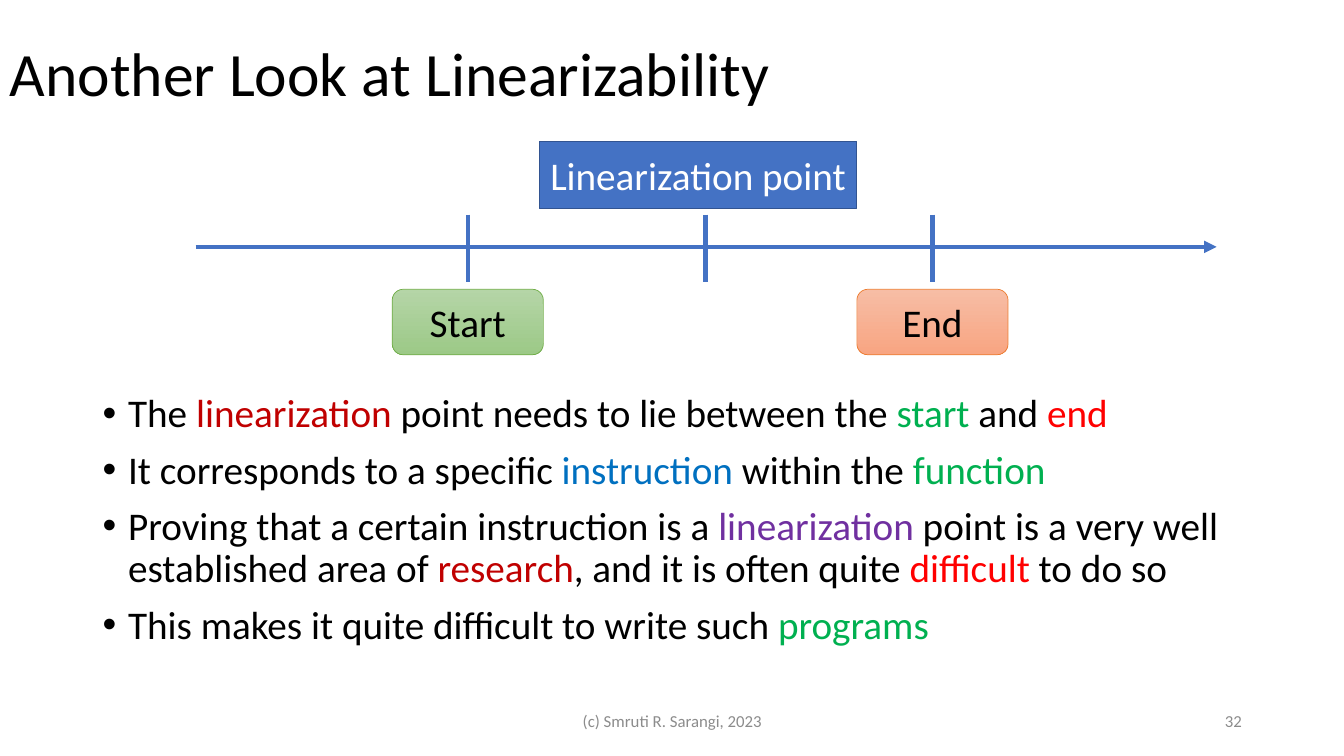
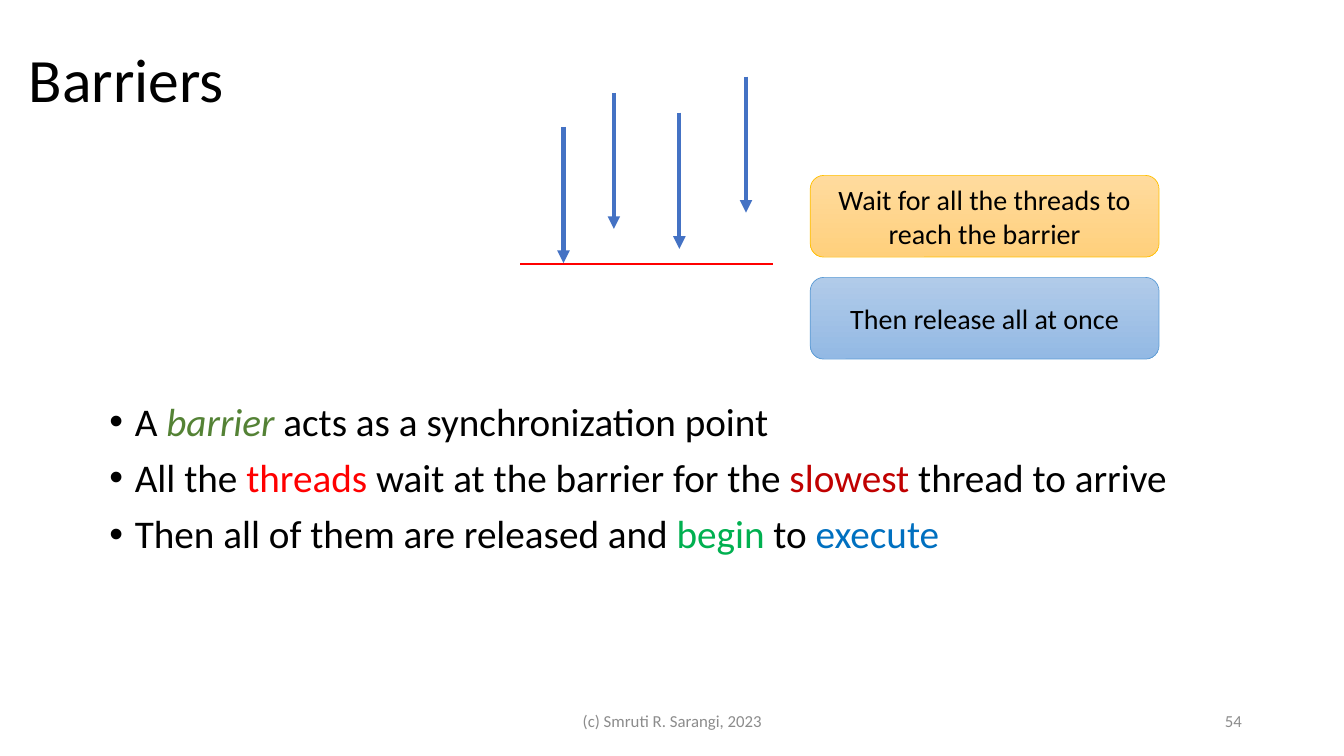
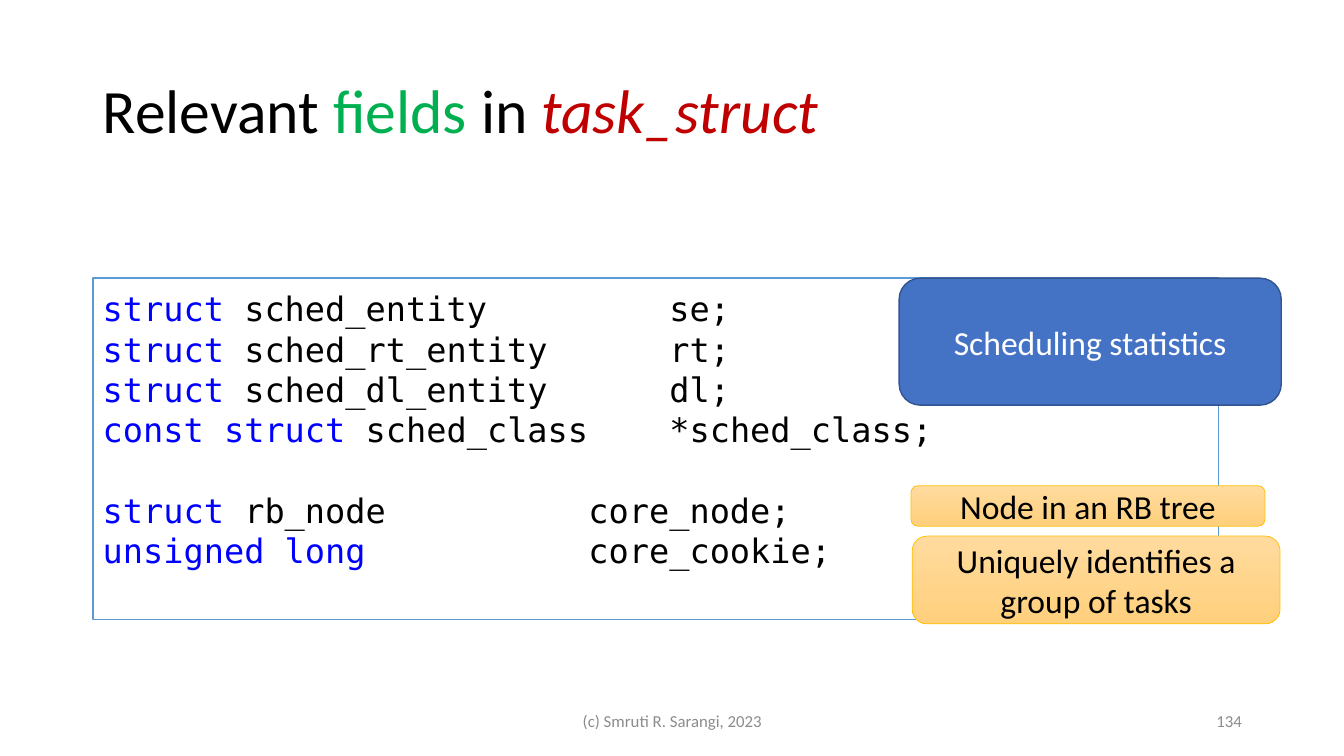
from dataclasses import dataclass
from typing import NamedTuple

from lxml import etree
from pptx import Presentation
from pptx import util as u
from pptx.dml.color import RGBColor
from pptx.enum import shapes, text
from pptx.oxml import ns

Cm, Pt = u.Cm, u.Pt
LEFT, MID, RIGHT = text.PP_ALIGN.LEFT, text.PP_ALIGN.CENTER, text.PP_ALIGN.RIGHT
TOP, CENTER = text.MSO_ANCHOR.TOP, text.MSO_ANCHOR.MIDDLE
RECT, ROUND = shapes.MSO_SHAPE.RECTANGLE, shapes.MSO_SHAPE.ROUNDED_RECTANGLE


class Look(NamedTuple):
    """Fill from first to last colour, edge colour and width, ink."""
    first: str
    last: str
    edge: str
    width: float = 0.5
    ink: str = "000000"


@dataclass(frozen=True)
class Theme:
    black: str = "000000"
    grey: str = "8C8C8C"
    crimson: str = "C00000"
    red: str = "FF0000"
    green: str = "00B050"
    olive: str = "548235"
    blue: str = "0070C0"
    purple: str = "7030A0"
    key: str = "0000FF"
    line: str = "4472C4"
    font: str = "Calibri"
    mono: str = "DejaVu Sans Mono"
    title: float = 44
    body: float = 28
    code: float = 24
    note: float = 20
    foot: float = 12
    solid: Look = Look("4472C4", "4472C4", "325491", 1, "FFFFFF")
    leaf: Look = Look("B5D5A7", "9CC987", "70AD47")
    coral: Look = Look("F7BDA5", "F8A582", "ED7D31")
    gold: Look = Look("FFDB9E", "FFD07C", "FFC000")
    sky: Look = Look("B1CBE9", "93B9E4", "5B9BD5")
    paper: Look = Look("FFFFFF", "FFFFFF", "5B9BD5", 1)


T = Theme()


class Box(NamedTuple):
    """Left, top, width and height in centimetres."""
    x: float
    y: float
    w: float
    h: float


class Run(NamedTuple):
    text: str
    ink: str
    slant: bool = False


class Card(NamedTuple):
    text: str
    box: Box
    look: Look
    size: float
    kind: shapes.MSO_SHAPE = ROUND


class Code(NamedTuple):
    """Keyword, the rest of the declaration, name and its column."""
    key: str
    kind: str
    name: str
    col: int
    gap: float = 0


Para = list[str | Run]
FOOT = Box(11.23, 17.65, 11.43, 1.02)
PAGE = Box(23.93, 17.65, 7.62, 1.02)
CHAR = 0.51   # width of one code character
LEAD = 28.8   # height of one code line


def rgb(ink: str) -> RGBColor:
    return RGBColor.from_string(ink)


def write(frame, paras: list[Para], *, size: float, font: str = T.font,
          ink: str = T.black, align=LEFT, anchor=CENTER, lead=None,
          gap: float = 0, dots: bool = False) -> list:
    """Fill a text frame and return its paragraphs."""
    frame.word_wrap = True
    frame.vertical_anchor = anchor
    made = []
    for i, runs in enumerate(paras):
        para = frame.add_paragraph() if i else frame.paragraphs[0]
        if dots:
            props = para._p.get_or_add_pPr()
            props.set("marL", str(Cm(0.64)))
            props.set("indent", str(-Cm(0.64)))
            etree.SubElement(props, ns.qn("a:buFont")).set("typeface", "Arial")
            etree.SubElement(props, ns.qn("a:buChar")).set("char", "•")
        para.alignment = align
        if lead:
            para.line_spacing = lead
        if i and gap:
            para.space_before = Pt(gap)
        for part in runs:
            part = part if isinstance(part, Run) else Run(part, ink)
            run = para.add_run()
            run.text = part.text
            run.font.name, run.font.size = font, Pt(size)
            run.font.color.rgb = rgb(part.ink)
            if part.slant:
                run.font.italic = True
        made.append(para)
    return made


def label(slide, box: Box, paras: list[Para], **form) -> None:
    shape = slide.shapes.add_textbox(*map(Cm, box))
    write(shape.text_frame, paras, **form)


def panel(slide, box: Box, look: Look, kind=ROUND):
    shape = slide.shapes.add_shape(kind, *map(Cm, box))
    shape.shadow.inherit = False
    if look.first == look.last:
        shape.fill.solid()
        shape.fill.fore_color.rgb = rgb(look.first)
    else:
        shape.fill.gradient()
        shape.fill.gradient_angle = 270
        for stop, ink in zip(shape.fill.gradient_stops, (look.first, look.last)):
            stop.color.rgb = rgb(ink)
    shape.line.color.rgb = rgb(look.edge)
    shape.line.width = Pt(look.width)
    return shape


def draw(slide, cards: list[Card]) -> None:
    for card in cards:
        shape = panel(slide, card.box, card.look, card.kind)
        write(shape.text_frame, [[card.text]], size=card.size,
              ink=card.look.ink, align=MID)


def rule(slide, x: float, y: float, dx: float = 0, dy: float = 0, *,
         ink: str = T.line, width: float = 3, head: bool = False) -> None:
    """Draw a straight line from x, y, with an arrowhead if asked."""
    line = slide.shapes.add_connector(
        shapes.MSO_CONNECTOR.STRAIGHT, Cm(x), Cm(y), Cm(x + dx), Cm(y + dy))
    line.line.color.rgb = rgb(ink)
    line.line.width = Pt(width)
    if head:
        tail = etree.SubElement(line.line._get_or_add_ln(), ns.qn("a:tailEnd"))
        tail.set("type", "triangle")
    etree.SubElement(line._element.spPr, ns.qn("a:effectLst"))


def start(deck, title: Para, box: Box, page: int):
    """Add a slide with its title, footer and page number."""
    slide = deck.slides.add_slide(deck.slide_layouts[6])
    label(slide, box, [title], size=T.title, lead=0.9)
    for place, words, align in ((FOOT, "(c) Smruti R. Sarangi, 2023", MID),
                                (PAGE, str(page), RIGHT)):
        label(slide, place, [[words]], size=T.foot, ink=T.grey, align=align)
    return slide


def points(slide, box: Box, paras: list[Para]) -> None:
    label(slide, box, paras, size=T.body, anchor=TOP, lead=0.9, gap=10, dots=True)


def listing(slide, box: Box, lines: list[Code]) -> None:
    frame = panel(slide, box, T.paper, RECT).text_frame
    frame.margin_top = Cm(0.25)
    paras = [[Run(f"{line.key} ", T.key), f"{line.kind}\t{line.name}"]
             if line.kind else [Run(line.key, T.key), f"\t{line.name}"]
             for line in lines]
    made = write(frame, paras, size=T.code, font=T.mono, anchor=TOP, lead=Pt(LEAD))
    for para, line in zip(made, lines):
        if line.gap:
            para.space_before = Pt(line.gap)
        tabs = etree.SubElement(para._p.get_or_add_pPr(), ns.qn("a:tabLst"))
        tab = etree.SubElement(tabs, ns.qn("a:tab"))
        tab.set("pos", str(Cm(line.col * CHAR)))
        tab.set("algn", "l")


def linear(deck) -> None:
    slide = start(deck, ["Another Look at Linearizability"],
                  Box(0, 0.08, 32.87, 3.68), 32)
    points(slide, Box(2.34, 9.8, 29.21, 7.37), [
        ["The ", Run("linearization", T.crimson),
         " point needs to lie between the ", Run("start", T.green),
         " and ", Run("end", T.red)],
        ["It corresponds to a specific ", Run("instruction", T.blue),
         " within the ", Run("function", T.green)],
        ["Proving that a certain instruction is a ",
         Run("linearization", T.purple),
         " point is a very well established area of ",
         Run("research", T.crimson), ", and it is often quite ",
         Run("difficult", T.red), " to do so"],
        ["This makes it quite difficult to write such ",
         Run("programs", T.green)],
    ])
    rule(slide, 4.93, 6.22, 25.73, head=True)
    first, point, last = 11.79, 17.78, 23.5
    for x in (first, point, last):
        rule(slide, x, 5.41, dy=1.7)
    wide = 3.81
    ends = [Card(name, Box(x - wide / 2, 7.29, wide, 1.65), look, T.body)
            for name, x, look in (("Start", first, T.leaf), ("End", last, T.coral))]
    draw(slide, ends + [Card("Linearization point", Box(13.59, 3.56, 8, 1.7),
                             T.solid, T.body, RECT)])


def barrier(deck) -> None:
    slide = start(deck, ["Barriers"], Box(0.48, 0.25, 29.21, 3.68), 54)
    points(slide, Box(2.51, 10.01, 29.21, 4.6), [
        ["A ", Run("barrier ", T.olive, True), "acts as a synchronization point"],
        ["All the ", Run("threads", T.red), " wait at the barrier for the ",
         Run("slowest", T.crimson), " thread to arrive"],
        ["Then all of them are released and ", Run("begin", T.green),
         " to ", Run("execute", T.blue)],
    ])
    rule(slide, 13.11, 6.65, 6.37, ink=T.red, width=1.5)
    for x, y in ((14.2, 3.2), (15.47, 2.34), (17.12, 2.84), (18.8, 1.93)):
        rule(slide, x, y, dy=3.43, head=True)
    notes = (("Wait for all the threads to reach the barrier", T.gold),
             ("Then release all at once", T.sky))
    draw(slide, [Card(words, Box(20.42, 4.42 + 2.57 * i, 8.79, 2.06), look, T.note)
                 for i, (words, look) in enumerate(notes)])


def fields(deck) -> None:
    slide = start(deck, ["Relevant ", Run("fields", T.green), " in ",
                         Run("task_struct", T.crimson, True)],
                  Box(2.34, 1.02, 29.21, 3.68), 134)
    listing(slide, Box(2.34, 7.01, 28.37, 8.61), [
        Code("struct", "sched_entity", "se;", 28),
        Code("struct", "sched_rt_entity", "rt;", 28),
        Code("struct", "sched_dl_entity", "dl;", 28),
        Code("const struct", "sched_class", "*sched_class;", 28),
        Code("struct", "rb_node", "core_node;", 24, LEAD),
        Code("unsigned long", "", "core_cookie;", 24),
    ])
    draw(slide, [
        Card("Scheduling statistics", Box(22.66, 7.01, 9.63, 3.2), T.solid, T.code),
        Card("Node in an RB tree", Box(22.96, 12.24, 8.92, 1.02), T.gold, T.code),
        Card("Uniquely identifies a group of tasks",
             Box(22.99, 13.51, 9.27, 2.21), T.gold, T.code),
    ])


def main() -> None:
    deck = Presentation()
    deck.slide_width, deck.slide_height = Cm(33.87), Cm(19.05)
    for build in (linear, barrier, fields):
        build(deck)
    deck.save("out.pptx")


if __name__ == "__main__":
    main()
